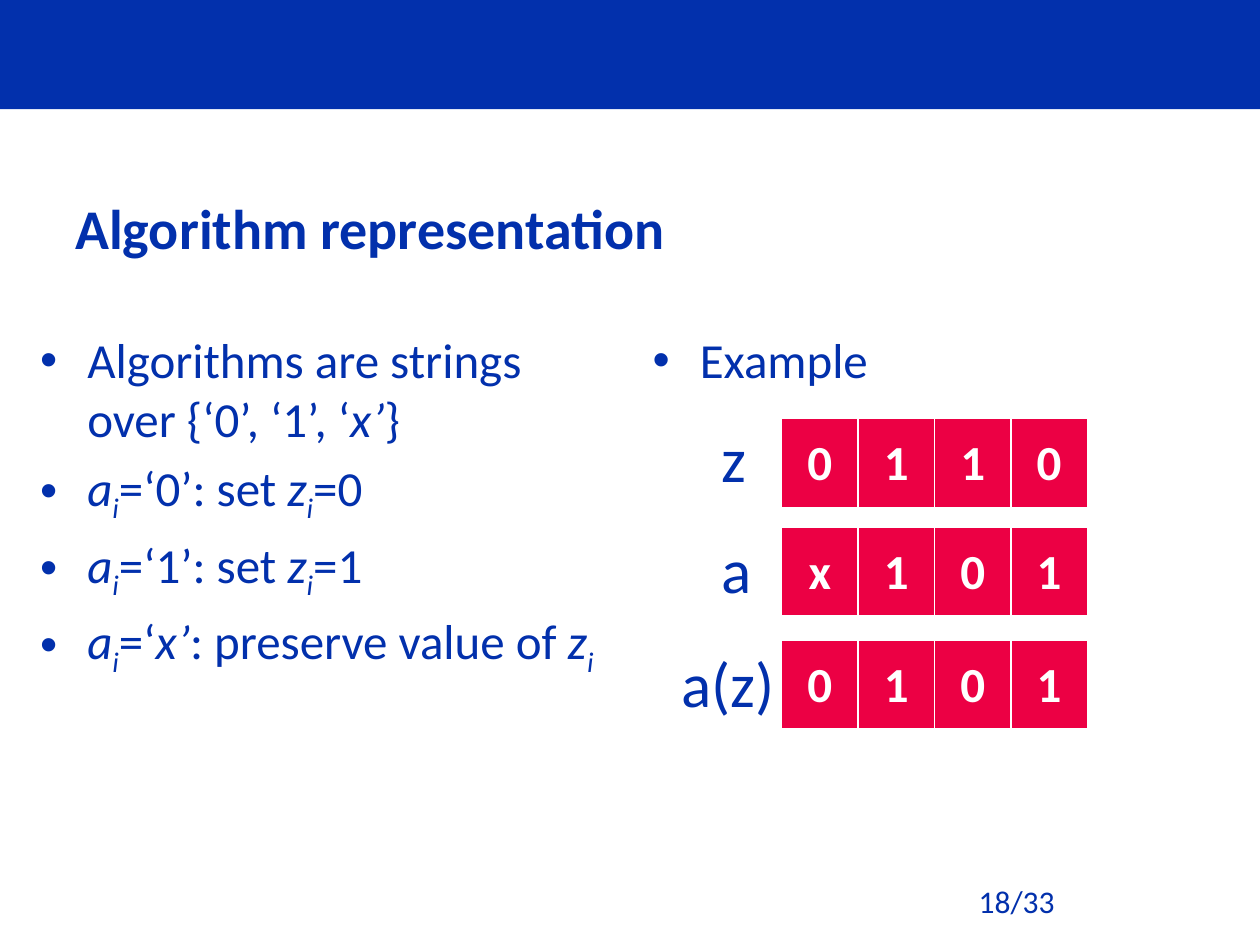
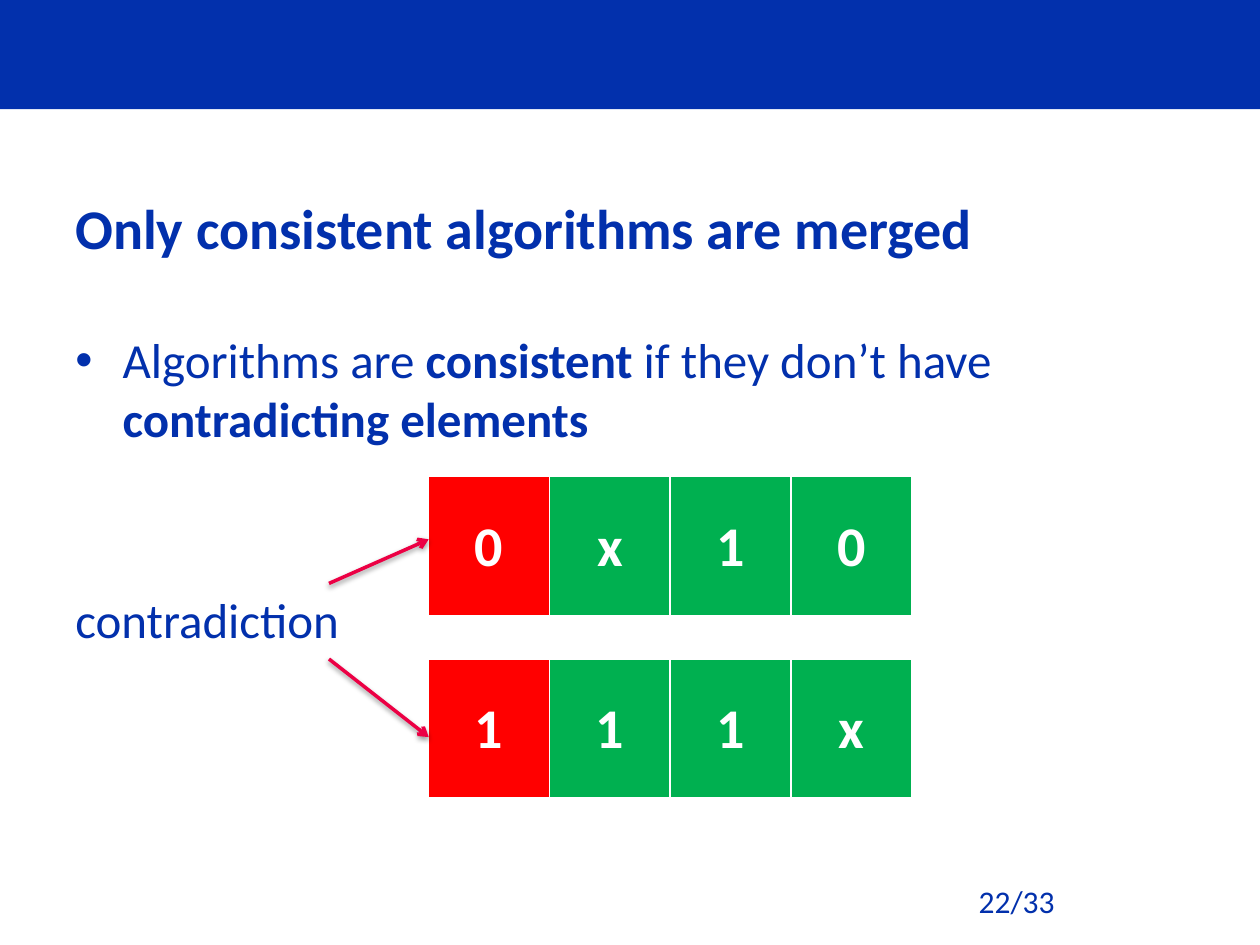
from dataclasses import dataclass

from lxml.etree import SubElement
from pptx import Presentation
from pptx.dml.color import RGBColor
from pptx.enum.shapes import MSO_CONNECTOR, MSO_SHAPE
from pptx.enum.text import MSO_ANCHOR, PP_ALIGN
from pptx.oxml.ns import qn
from pptx.presentation import Presentation as Deck
from pptx.slide import Slide
from pptx.table import _Cell as Cell
from pptx.text.text import _Paragraph as Paragraph
from pptx.util import Pt

COLORS = {
    "blue": "0230AC",
    "white": "FFFFFF",
    "crimson": "EC0044",
    "red": "FF0000",
    "green": "00B050",
    "black": "000000",
}
FONT = "Calibri"
BODY_SIZE = 28
BODY_TOP = 185
BODY_HEIGHT = 297.4
BULLET_INDENT = 27
PAGE_TOTAL = 33


@dataclass(frozen=True)
class Frame:
    left: float
    top: float
    width: float
    height: float


@dataclass(frozen=True)
class Span:
    text: str
    bold: bool = False
    italic: bool = False
    subscript: bool = False


@dataclass(frozen=True)
class Strip:
    symbols: str
    top: float
    fills: tuple[str, ...]


@dataclass(frozen=True)
class StripStyle:
    left: float
    cell_width: float
    height: float
    size: float


@dataclass(frozen=True)
class Label:
    text: str
    frame: Frame


@dataclass(frozen=True)
class Arrow:
    start_x: float
    start_y: float
    end_x: float
    end_y: float


Line = list[Span]

BAND = Frame(0, 0, 720, 62.4)
TITLE = Frame(36, 97.2, 648, 64.8)
FOOTER = Frame(552.2, 500.4, 167.8, 28.8)

EXAMPLE_STYLE = StripStyle(446.6, 43.7, 51.8, 28)
EXAMPLE_STRIPS = [
    Strip(symbols, top, ("crimson",) * 4)
    for symbols, top in (("0110", 239.2), ("x101", 301.2), ("0101", 365.8))
]
EXAMPLE_LABELS = [
    Label("z", Frame(405.4, 236.4, 29, 51)),
    Label("a", Frame(405.4, 299.6, 32, 51)),
    Label("a(z)", Frame(382.3, 365, 68, 51)),
]

MERGE_STYLE = StripStyle(245, 69, 80.2, 32)
MERGE_FILLS = ("red", "green", "green", "green")
MERGE_STRIPS = [
    Strip("0x10", 272.4, MERGE_FILLS),
    Strip("111x", 376.6, MERGE_FILLS),
]
CONTRADICTION = Label("contradiction", Frame(36, 333.4, 189.4, 41))
ARROWS = [Arrow(188, 333.4, 245, 308.2), Arrow(188, 376.6, 245, 421.2)]


def rgb(color: str) -> RGBColor:
    return RGBColor.from_string(COLORS[color])


def indexed(letter: str) -> Line:
    return [Span(letter, italic=True), Span("i", italic=True, subscript=True)]


def rule(value: str) -> Line:
    return [*indexed("a"), Span(f"=‘{value}’: set "), *indexed("z"), Span(f"={value}")]


def write_spans(para: Paragraph, spans: Line, size: float, color: str = "blue") -> None:
    for span in spans:
        run = para.add_run()
        run.text = span.text
        run.font.name = FONT
        run.font.size = Pt(size)
        run.font.bold = span.bold
        run.font.italic = span.italic
        run.font.color.rgb = rgb(color)
        if span.subscript:
            run.font._element.set("baseline", "-25000")


def add_bullet(para: Paragraph) -> None:
    properties = para._p.get_or_add_pPr()
    properties.set("marL", str(Pt(BULLET_INDENT)))
    properties.set("indent", str(-Pt(BULLET_INDENT)))
    spacing = SubElement(properties, qn("a:spcBef"))
    SubElement(spacing, qn("a:spcPct"), val="20000")
    SubElement(properties, qn("a:buFont"), typeface="Arial")
    SubElement(properties, qn("a:buChar"), char="•")


def add_text(
    page: Slide,
    frame: Frame,
    lines: list[Line],
    size: float,
    bullets: bool = False,
    wrap: bool = True,
    anchor: MSO_ANCHOR = MSO_ANCHOR.TOP,
) -> None:
    box = page.shapes.add_textbox(
        Pt(frame.left), Pt(frame.top), Pt(frame.width), Pt(frame.height)
    )
    text_frame = box.text_frame
    text_frame.word_wrap = wrap
    text_frame.vertical_anchor = anchor
    for index, spans in enumerate(lines):
        para = text_frame.add_paragraph() if index else text_frame.paragraphs[0]
        if bullets:
            add_bullet(para)
        write_spans(para, spans, size)


def add_body(page: Slide, left: float, width: float, lines: list[Line]) -> None:
    frame = Frame(left, BODY_TOP, width, BODY_HEIGHT)
    add_text(page, frame, lines, BODY_SIZE, bullets=True)


def add_borders(cell: Cell) -> None:
    properties = cell._tc.get_or_add_tcPr()
    for side, width in (("L", 1), ("R", 1), ("T", 1), ("B", 3)):
        border = SubElement(properties, qn(f"a:ln{side}"), w=str(Pt(width)))
        fill = SubElement(border, qn("a:solidFill"))
        SubElement(fill, qn("a:srgbClr"), val=COLORS["white"])


def add_strip(page: Slide, strip: Strip, style: StripStyle) -> None:
    count = len(strip.symbols)
    table = page.shapes.add_table(
        1,
        count,
        Pt(style.left),
        Pt(strip.top),
        Pt(style.cell_width * count),
        Pt(style.height),
    ).table
    table.first_row = False
    table.horz_banding = False
    for column, symbol, fill in zip(table.columns, strip.symbols, strip.fills):
        column.width = Pt(style.cell_width)
    for cell, symbol, fill in zip(table.rows[0].cells, strip.symbols, strip.fills):
        add_borders(cell)
        cell.fill.solid()
        cell.fill.fore_color.rgb = rgb(fill)
        cell.vertical_anchor = MSO_ANCHOR.MIDDLE
        para = cell.text_frame.paragraphs[0]
        para.alignment = PP_ALIGN.CENTER
        write_spans(para, [Span(symbol, bold=True)], style.size, "white")


def add_arrow(page: Slide, arrow: Arrow) -> None:
    connector = page.shapes.add_connector(
        MSO_CONNECTOR.STRAIGHT,
        Pt(arrow.start_x),
        Pt(arrow.start_y),
        Pt(arrow.end_x),
        Pt(arrow.end_y),
    )
    connector.line.color.rgb = rgb("crimson")
    connector.line.width = Pt(2)
    properties = connector._element.spPr
    SubElement(properties.find(qn("a:ln")), qn("a:tailEnd"), type="arrow")
    effects = SubElement(properties, qn("a:effectLst"))
    shadow = SubElement(
        effects,
        qn("a:outerShdw"),
        blurRad=str(Pt(3.1)),
        dist=str(Pt(1.6)),
        dir="5400000",
        rotWithShape="0",
    )
    shade = SubElement(shadow, qn("a:srgbClr"), val=COLORS["black"])
    SubElement(shade, qn("a:alpha"), val="38000")


def add_page(deck: Deck, title: str, number: int) -> Slide:
    page = deck.slides.add_slide(deck.slide_layouts[6])
    band = page.shapes.add_shape(
        MSO_SHAPE.RECTANGLE, Pt(BAND.left), Pt(BAND.top), Pt(BAND.width), Pt(BAND.height)
    )
    band.shadow.inherit = False
    band.fill.solid()
    band.fill.fore_color.rgb = rgb("blue")
    band.line.fill.background()
    add_text(page, TITLE, [[Span(title, bold=True)]], 32, anchor=MSO_ANCHOR.MIDDLE)
    add_text(page, FOOTER, [[Span(f"{number}/{PAGE_TOTAL}")]], 18)
    return page


def build_representation(deck: Deck) -> None:
    page = add_page(deck, "Algorithm representation", 18)
    lines = [
        [
            Span("Algorithms are strings over {‘0’, ‘1’, ‘"),
            Span("x’", italic=True),
            Span("}"),
        ],
        rule("0"),
        rule("1"),
        [
            *indexed("a"),
            Span("=‘"),
            Span("x’", italic=True),
            Span(": preserve value of "),
            *indexed("z"),
        ],
    ]
    add_body(page, 15.8, 334.8, lines)
    add_body(page, 365.8, 318.2, [[Span("Example")]])
    for strip in EXAMPLE_STRIPS:
        add_strip(page, strip, EXAMPLE_STYLE)
    for label in EXAMPLE_LABELS:
        add_text(page, label.frame, [[Span(label.text)]], 36, wrap=False)


def build_consistency(deck: Deck) -> None:
    page = add_page(deck, "Only consistent algorithms are merged", 22)
    statement = [
        Span("Algorithms are "),
        Span("consistent", bold=True),
        Span(" if they don’t have "),
        Span("contradicting elements", bold=True),
    ]
    add_body(page, 36, 648, [statement])
    for strip in MERGE_STRIPS:
        add_strip(page, strip, MERGE_STYLE)
    add_text(page, CONTRADICTION.frame, [[Span(CONTRADICTION.text)]], BODY_SIZE)
    for arrow in ARROWS:
        add_arrow(page, arrow)


def main() -> None:
    deck = Presentation()
    deck.slide_width = Pt(720)
    deck.slide_height = Pt(540)
    build_representation(deck)
    build_consistency(deck)
    deck.save("out.pptx")


if __name__ == "__main__":
    main()
